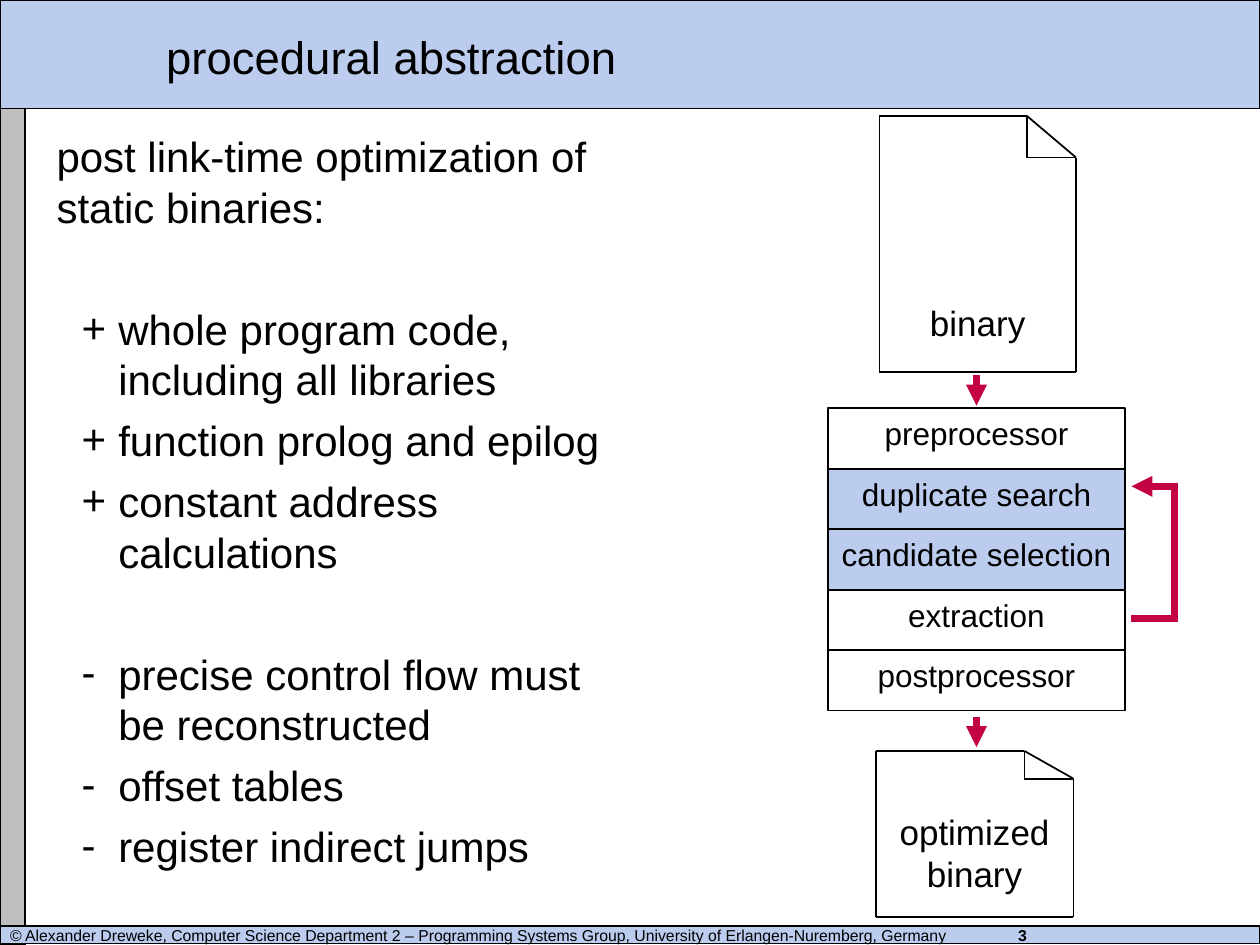
import pptx
import pptx.util
import pptx.dml.color
import pptx.enum.shapes
import pptx.enum.text
import pptx.oxml
from pptx.oxml.ns import qn

Inches = pptx.util.Inches
Pt = pptx.util.Pt
SHAPE = pptx.enum.shapes.MSO_SHAPE
ANCHOR = pptx.enum.text.MSO_ANCHOR
ALIGN = pptx.enum.text.PP_ALIGN

COLORS = {"text": "000000", "bar": "BBCCEE", "side": "BEBEBE", "arrow": "C20244"}
FONT = "Arial"


def rgb(name):
    return pptx.dml.color.RGBColor.from_string(COLORS[name])


def add_xml(parent, tag, **attrs):
    el = pptx.oxml.parse_xml(
        f'<a:{tag} xmlns:a="http://schemas.openxmlformats.org/drawingml/2006/main"/>')
    for key, value in attrs.items():
        el.set(key, str(value))
    parent.append(el)
    return el


def set_frame(tf, insets, anchor=ANCHOR.TOP):
    tf.word_wrap = True
    tf.vertical_anchor = anchor
    tf.margin_left = tf.margin_right = Inches(insets[0])
    tf.margin_top = tf.margin_bottom = Inches(insets[1])


def add_run(p, text, size, bold=False):
    r = p.add_run()
    r.text = text
    r.font.name = FONT
    r.font.size = Pt(size)
    r.font.bold = bold
    r.font.color.rgb = rgb("text")


def add_box(s, x, y, w, h, fill=None, width=1):
    sp = s.shapes.add_shape(SHAPE.RECTANGLE, Inches(x), Inches(y), Inches(w), Inches(h))
    sp.shadow.inherit = False
    if fill:
        sp.fill.solid()
        sp.fill.fore_color.rgb = rgb(fill)
    else:
        sp.fill.background()
    sp.line.color.rgb = rgb("text")
    sp.line.width = Pt(width)
    return sp


def add_text(s, x, y, w, h, anchor=ANCHOR.TOP):
    tf = s.shapes.add_textbox(Inches(x), Inches(y), Inches(w), Inches(h)).text_frame
    set_frame(tf, (0.1, 0.05), anchor)
    return tf


def add_line(s, start, end, color="text", width=1, head=False):
    sp = s.shapes.add_connector(pptx.enum.shapes.MSO_CONNECTOR.STRAIGHT,
                                *(Inches(v) for v in (*start, *end)))
    sp.line.color.rgb = rgb(color)
    sp.line.width = Pt(width)
    if head:
        add_xml(sp.line._get_or_add_ln(), "tailEnd", type="triangle")
    add_xml(sp._element.find(qn("p:spPr")), "effectLst")


def frame(s, w, h):
    """Side strip, title bar and footer of the page."""
    add_box(s, 0, 0, 0.2, h, "side", 0.75)
    add_box(s, 0, 0, w, 0.86, "bar", 0.75)
    sp = add_box(s, 0, h - 0.15, w, 0.14, "bar", 0.75)
    set_frame(sp.text_frame, (0.08, 0), ANCHOR.MIDDLE)
    p = sp.text_frame.paragraphs[0]
    p.alignment = ALIGN.LEFT
    tabs = add_xml(p._p.get_or_add_pPr(), "tabLst")
    add_xml(tabs, "tab", pos=Inches(8), algn="l")
    add_run(p, "© Alexander Dreweke, Computer Science Department 2 – Programming "
               "Systems Group, University of Erlangen-Nuremberg, Germany\t", 9)
    add_run(p, "3", 9, bold=True)


def title(s, x, y, w, h):
    tf = add_text(s, x, y, w, h, ANCHOR.MIDDLE)
    add_run(tf.paragraphs[0], "procedural abstraction", 26)


def body(s, x, y, w, h):
    """Lead sentence, then the list of pros and the list of cons."""
    tf = add_text(s, x, y, w, h)
    add_run(tf.paragraphs[0], "post link-time optimization of static binaries:", 24)
    lists = {
        "+": ["whole program code, including all libraries",
              "function prolog and epilog",
              "constant address calculations"],
        "-": ["precise control flow must be reconstructed",
              "offset tables",
              "register indirect jumps"],
    }
    for mark, items in lists.items():
        for i, item in enumerate(items):
            p = tf.add_paragraph()
            p.space_before = Pt(6 if i else 41)
            pPr = p._p.get_or_add_pPr()
            pPr.set("marL", str(Inches(0.49)))
            pPr.set("indent", str(Inches(-0.29)))
            add_xml(pPr, "buFont", typeface=FONT)
            add_xml(pPr, "buChar", char=mark)
            add_run(p, item, 24)


def page(s, x, y, w, h, fold, label, label_y, label_h):
    """Sheet with a folded corner and a caption."""
    right, bottom = x + w, y + h
    top_left, bottom_left, bottom_right = (x, y), (x, bottom), (right, bottom)
    fold_top, fold_in, fold_out = (right - 0.39, y), (right - 0.39, y + fold), (right, y + fold)
    edges = [(top_left, bottom_left), (bottom_left, bottom_right),
             (top_left, fold_top), (fold_out, bottom_right),
             (fold_top, fold_out), (fold_top, fold_in), (fold_in, fold_out)]
    for start, end in edges:
        add_line(s, start, end)
    p = add_text(s, x, y + label_y, w, label_h).paragraphs[0]
    p.alignment = ALIGN.CENTER
    add_run(p, label, 20)


def steps(s, x, y, w, h):
    """Stack of processing steps; the highlighted ones are filled."""
    names = [("preprocessor", None), ("duplicate search", "bar"),
             ("candidate selection", "bar"), ("extraction", None),
             ("postprocessor", None)]
    row_h = h / len(names)
    for i, (name, fill) in enumerate(names):
        sp = add_box(s, x, y + i * row_h, w, row_h, fill)
        set_frame(sp.text_frame, (0.05, 0.05))
        p = sp.text_frame.paragraphs[0]
        p.alignment = ALIGN.CENTER
        add_run(p, name, 18)


def down_arrow(s, x, y, length):
    add_line(s, (x, y), (x, y + length), "arrow", 4, head=True)


def loop_arrow(s, x, y, w, h):
    """Way back from extraction to duplicate search."""
    right, bottom, overlap = x + w, y + h, 0.03
    add_line(s, (right, y), (x, y), "arrow", 4, head=True)
    add_line(s, (right, y - overlap), (right, bottom + overlap), "arrow", 4)
    add_line(s, (right, bottom), (x, bottom), "arrow", 4)


def main():
    prs = pptx.Presentation()
    prs.slide_width, prs.slide_height = Inches(10), Inches(7.5)
    s = prs.slides.add_slide(prs.slide_layouts[6])
    frame(s, 10, 7.5)
    title(s, 1.22, 0.13, 8.58, 0.63)
    body(s, 0.35, 0.99, 4.68, 6.22)
    # Flow from the binary to the optimized binary
    page(s, 6.98, 0.92, 1.56, 2.03, 0.33, "binary", 1.42, 0.44)
    down_arrow(s, 7.75, 2.98, 0.24)
    steps(s, 6.57, 3.24, 2.36, 2.4)
    loop_arrow(s, 8.98, 3.86, 0.34, 1.05)
    down_arrow(s, 7.75, 5.69, 0.24)
    page(s, 6.95, 5.96, 1.57, 1.32, 0.22, "optimized binary", 0.42, 0.77)
    prs.save("out.pptx")


if __name__ == "__main__":
    main()
